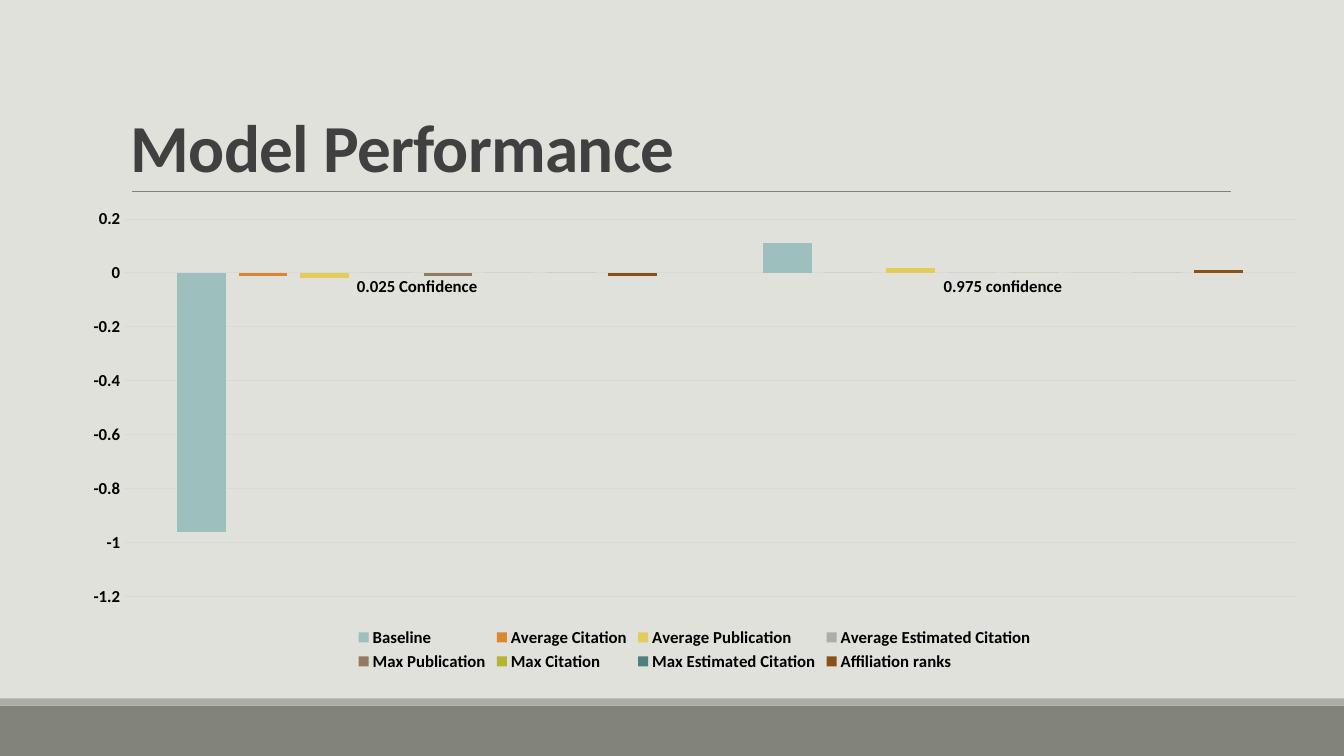
from dataclasses import dataclass

from lxml import etree
from pptx import Presentation
from pptx.chart.data import CategoryChartData
from pptx.dml.color import RGBColor
from pptx.enum.chart import XL_CHART_TYPE, XL_LEGEND_POSITION, XL_TICK_MARK
from pptx.enum.shapes import MSO_CONNECTOR, MSO_SHAPE
from pptx.enum.text import MSO_ANCHOR
from pptx.oxml.ns import qn
from pptx.util import Inches, Pt

COLUMN = XL_CHART_TYPE.COLUMN_CLUSTERED
BOTTOM = XL_LEGEND_POSITION.BOTTOM
NO_TICK = XL_TICK_MARK.NONE
STRAIGHT = MSO_CONNECTOR.STRAIGHT
RECT = MSO_SHAPE.RECTANGLE
ANCHOR = MSO_ANCHOR.BOTTOM

FONT = "Calibri"
WIDTH, HEIGHT = 13.33, 7.5
COLORS = {
    "back": "E1E1DB", "band": "82847C", "strip": "ACADA8", "rule": "808080",
    "title": "404040", "text": "000000", "grid": "D9D9D9",
    "aqua": "9DBFBE", "orange": "DB8631", "yellow": "E3CC5A", "gray": "ACADA8",
    "brown": "927C61", "olive": "B3B435", "teal": "527E7D", "rust": "895018",
}


@dataclass
class Bar:
    top: float
    height: float
    color: str


@dataclass
class Series:
    name: str
    values: tuple[float, float]
    color: str


BARS = [Bar(7, 0.5, "band"), Bar(6.93, 0.07, "strip")]
GROUPS = ["0.025 Confidence", "0.975 confidence"]
SERIES = [
    Series("Baseline", (-0.96, 0.11), "aqua"),
    Series("Average Citation", (-0.01, 0), "orange"),
    Series("Average Publication", (-0.02, 0.02), "yellow"),
    Series("Average Estimated Citation", (0, 0), "gray"),
    Series("Max Publication", (-0.01, 0), "brown"),
    Series("Max Citation", (0, 0), "olive"),
    Series("Max Estimated Citation", (0, 0), "teal"),
    Series("Affiliation ranks", (-0.01, 0.01), "rust"),
]


def tint(name: str) -> RGBColor:
    return RGBColor.from_string(COLORS[name])


def style(font, size: float, color: str) -> None:
    font.name = FONT
    font.size = Pt(size)
    font.bold = True
    font.color.rgb = tint(color)


def stroke(line, color: str, width: float) -> None:
    line.color.rgb = tint(color)
    line.width = Pt(width)


def add_bar(slide, bar: Bar) -> None:
    shape = slide.shapes.add_shape(
        RECT, 0, Inches(bar.top), Inches(WIDTH), Inches(bar.height))
    shape.shadow.inherit = False
    shape.fill.solid()
    shape.fill.fore_color.rgb = tint(bar.color)
    shape.line.fill.background()


def add_rule(slide) -> None:
    rule = slide.shapes.add_connector(
        STRAIGHT, Inches(1.31), Inches(1.9), Inches(12.21), Inches(1.9))
    stroke(rule.line, "rule", 0.5)
    etree.SubElement(rule._element.spPr, qn("a:effectLst"))


def add_title(slide) -> None:
    box = slide.shapes.add_textbox(
        Inches(1.2), Inches(0.31), Inches(11), Inches(1.59))
    frame = box.text_frame
    frame.word_wrap = True
    frame.vertical_anchor = ANCHOR
    para = frame.paragraphs[0]
    para.line_spacing = 0.85
    run = para.add_run()
    run.text = "Model Performance"
    style(run.font, 48, "title")
    run.font._element.set("spc", "-50")


def add_chart(slide) -> None:
    data = CategoryChartData()
    data.categories = GROUPS
    for item in SERIES:
        data.add_series(item.name, item.values)
    chart = slide.shapes.add_chart(
        COLUMN, Inches(0.68), Inches(1.98), Inches(12.42), Inches(4.72), data).chart
    style(chart.font, 10, "text")
    chart.has_title = False

    # Columns
    plot = chart.plots[0]
    plot.vary_by_categories = False
    plot.gap_width = 219
    plot.overlap = -27
    for series, item in zip(plot.series, SERIES):
        series.invert_if_negative = False
        series.format.fill.solid()
        series.format.fill.fore_color.rgb = tint(item.color)

    # Axes
    groups, scale = chart.category_axis, chart.value_axis
    for axis in (groups, scale):
        axis.major_tick_mark = axis.minor_tick_mark = NO_TICK
        style(axis.tick_labels.font, 12, "text")
    stroke(groups.format.line, "grid", 0.75)
    scale.format.line.fill.background()
    scale.maximum_scale = 0.2
    stroke(scale.major_gridlines.format.line, "grid", 0.75)

    # Legend
    chart.has_legend = True
    chart.legend.position = BOTTOM
    chart.legend.include_in_layout = False
    style(chart.legend.font, 12, "text")


def main() -> None:
    deck = Presentation()
    deck.slide_width = Inches(WIDTH)
    deck.slide_height = Inches(HEIGHT)
    slide = deck.slides.add_slide(deck.slide_layouts[6])
    slide.background.fill.solid()
    slide.background.fill.fore_color.rgb = tint("back")
    for bar in BARS:
        add_bar(slide, bar)
    add_rule(slide)
    add_title(slide)
    add_chart(slide)
    deck.save("out.pptx")


if __name__ == "__main__":
    main()
